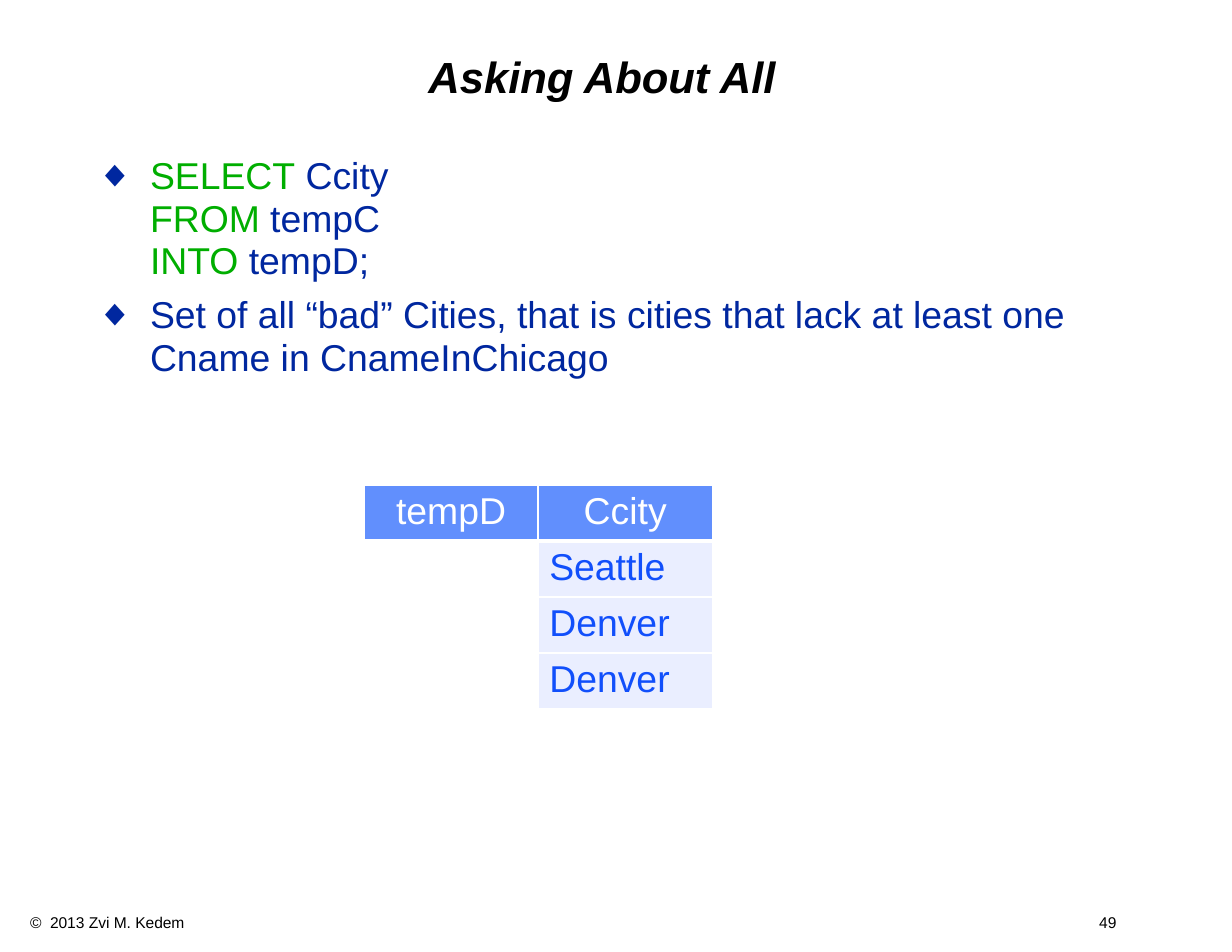
"""Build the "Asking About All" slide with its query, bullets and result table."""
from dataclasses import dataclass

from lxml import etree
from pptx import Presentation
from pptx.dml.color import RGBColor
from pptx.enum.text import MSO_ANCHOR, PP_ALIGN
from pptx.oxml.ns import qn
from pptx.util import Inches, Pt

CENTER = PP_ALIGN.CENTER
LEFT = PP_ALIGN.LEFT
MIDDLE = MSO_ANCHOR.MIDDLE
TOP = MSO_ANCHOR.TOP


@dataclass(frozen=True)
class Theme:
    font: str = "Arial"
    black: str = "000000"
    white: str = "FFFFFF"
    navy: str = "00279F"
    green: str = "00AE00"
    header: str = "618FFD"
    cell: str = "EAEEFF"
    cell_text: str = "114FFB"
    title_size: int = 28
    body_size: int = 24
    footer_size: int = 10
    spacing: float = 0.95
    gap: float = 7.2


@dataclass(frozen=True)
class Span:
    text: str
    color: str


@dataclass(frozen=True)
class Area:
    left: float
    top: float
    width: float
    height: float


THEME = Theme()
TITLE = Area(0.75, 0.25, 9.25, 0.92)
BODY = Area(0.75, 1.33, 9.33, 6.67)
TABLE = Area(3.25, 4.33, 3.11, 1.88)
FOOTER = Area(0.17, 8.1, 10.34, 0.27)
FOOTER_TAB = 9.7
BULLET_INDENT = 0.48

BULLETS = [
    [
        [Span("SELECT", THEME.green), Span(" Ccity", THEME.navy)],
        [Span("FROM", THEME.green), Span(" tempC", THEME.navy)],
        [Span("INTO", THEME.green), Span(" tempD;", THEME.navy)],
    ],
    [[Span("Set of all “bad” Cities, that is cities that lack at least one "
           "Cname in CnameInChicago", THEME.navy)]],
]
ROWS = [("tempD", "Ccity"), ("", "Seattle"), ("", "Denver"), ("", "Denver")]


def add_span(para, span: Span, size: int, strong: bool = False) -> None:
    """Append one formatted run to a paragraph."""
    run = para.add_run()
    run.text = span.text
    run.font.name = THEME.font
    run.font.size = Pt(size)
    run.font.color.rgb = RGBColor.from_string(span.color)
    if strong:
        run.font.bold = run.font.italic = True


def add_box(page, area: Area, anchor, inset_x: float, inset_y: float):
    """Add a wrapping text box and return its text frame."""
    box = page.shapes.add_textbox(Inches(area.left), Inches(area.top),
                                  Inches(area.width), Inches(area.height))
    frame = box.text_frame
    frame.word_wrap = True
    frame.vertical_anchor = anchor
    frame.margin_left = frame.margin_right = Inches(inset_x)
    frame.margin_top = frame.margin_bottom = Inches(inset_y)
    return frame


def set_bullet(para) -> None:
    """Give a paragraph a hanging diamond bullet."""
    props = para._p.get_or_add_pPr()
    props.set("marL", str(Inches(BULLET_INDENT)))
    props.set("indent", str(-Inches(BULLET_INDENT)))
    color = etree.SubElement(props, qn("a:buClr"))
    etree.SubElement(color, qn("a:srgbClr"), val=THEME.navy)
    etree.SubElement(props, qn("a:buFont"), typeface=THEME.font)
    etree.SubElement(props, qn("a:buChar"), char="◆")


def add_title(page) -> None:
    """Add the centred slide title."""
    para = add_box(page, TITLE, MIDDLE, 0.11, 0.06).paragraphs[0]
    para.alignment = CENTER
    para.line_spacing = 0.9
    add_span(para, Span("Asking About All", THEME.black), THEME.title_size, True)


def add_bullets(page) -> None:
    """Add the bulleted query and its explanation."""
    frame = add_box(page, BODY, TOP, 0.11, 0.06)
    for index, lines in enumerate(BULLETS):
        para = frame.add_paragraph() if index else frame.paragraphs[0]
        set_bullet(para)
        para.line_spacing = THEME.spacing
        para.space_before = Pt(THEME.gap if index else 0)
        for number, line in enumerate(lines):
            if number:
                para.add_line_break()
            for span in line:
                add_span(para, span, THEME.body_size)


def set_borders(cell, bottom: float) -> None:
    """Draw white borders around a table cell."""
    props = cell._tc.get_or_add_tcPr()
    for side, width in (("L", 1), ("R", 1), ("T", 1), ("B", bottom)):
        line = etree.SubElement(props, qn(f"a:ln{side}"), w=str(Pt(width)))
        fill = etree.SubElement(line, qn("a:solidFill"))
        etree.SubElement(fill, qn("a:srgbClr"), val=THEME.white)


def add_result_table(page) -> None:
    """Add the tempD table with a header row and one value column."""
    table = page.shapes.add_table(
        len(ROWS), len(ROWS[0]), Inches(TABLE.left), Inches(TABLE.top),
        Inches(TABLE.width), Inches(TABLE.height)).table
    for row, values in enumerate(ROWS):
        is_header = row == 0
        for column, value in enumerate(values):
            cell = table.cell(row, column)
            set_borders(cell, 3 if is_header else 1)
            fill = THEME.header if is_header else THEME.cell if value else THEME.white
            cell.fill.solid()
            cell.fill.fore_color.rgb = RGBColor.from_string(fill)
            if value:
                para = cell.text_frame.paragraphs[0]
                para.alignment = CENTER if is_header else LEFT
                color = THEME.white if is_header else THEME.cell_text
                add_span(para, Span(value, color), THEME.body_size)


def add_footer(page) -> None:
    """Add the copyright line with a right-aligned page number."""
    para = add_box(page, FOOTER, TOP, 0.1, 0.05).paragraphs[0]
    tabs = etree.SubElement(para._p.get_or_add_pPr(), qn("a:tabLst"))
    etree.SubElement(tabs, qn("a:tab"), pos=str(Inches(FOOTER_TAB)), algn="r")
    for text in ("©  2013 Zvi M. Kedem", "\t49"):
        add_span(para, Span(text, THEME.black), THEME.footer_size)


def main() -> None:
    """Create the deck and save it."""
    deck = Presentation()
    deck.slide_width = Inches(11)
    deck.slide_height = Inches(8.5)
    page = deck.slides.add_slide(deck.slide_layouts[6])
    add_footer(page)
    add_title(page)
    add_bullets(page)
    add_result_table(page)
    deck.save("out.pptx")


if __name__ == "__main__":
    main()
